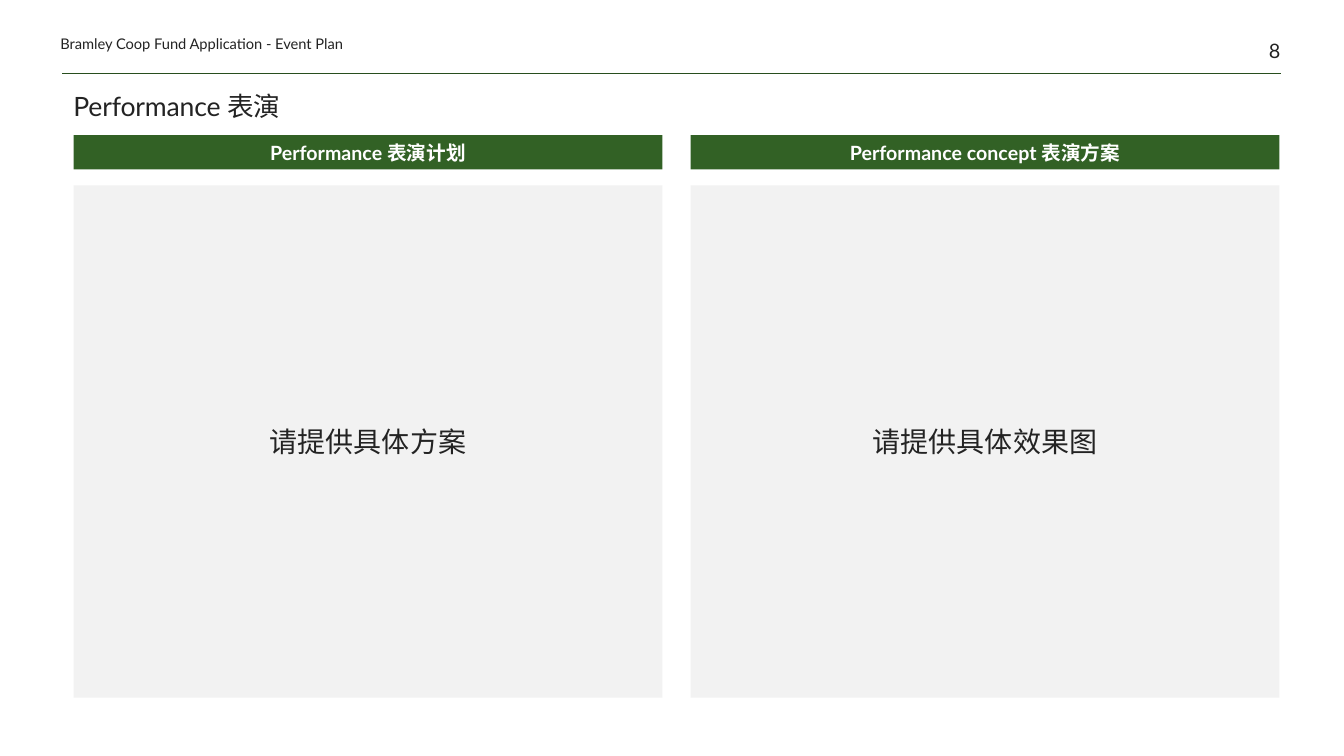
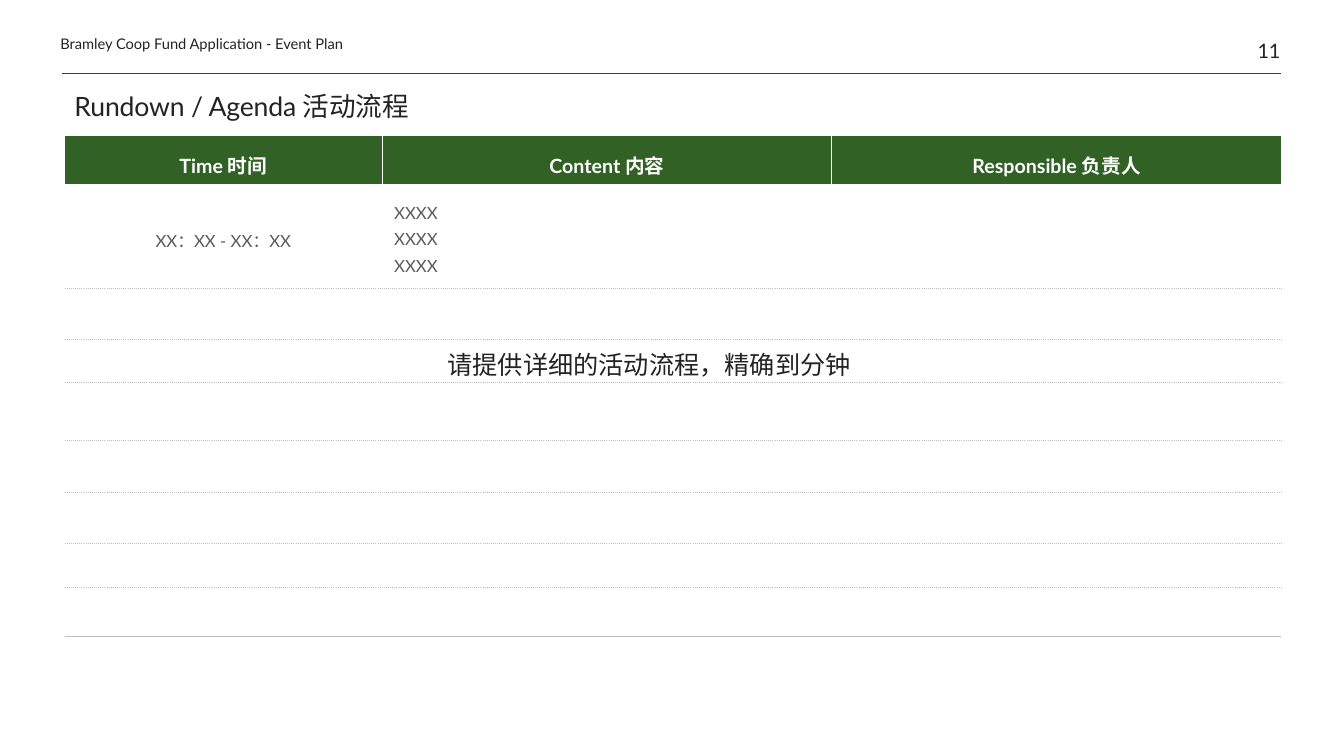
from lxml import etree
from pptx import Presentation
from pptx import util as u
from pptx.dml.color import RGBColor
from pptx.enum import shapes, text
from pptx.oxml import ns

INK, GREEN, RULE, PANEL = "232323", "326125", "284E1E", "F2F2F2"
WHITE, GREY, DOTS, LAST = "FFFFFF", "5A5A5A", "BFBFBF", "BBBCBC"
FONT = "Lato"
HEADER = "Bramley Coop Fund Application - Event Plan"
NO_STYLE = "{2D5ABB26-0587-4C30-8999-92F81FD0307C}"
LEFT, CENTER, RIGHT = text.PP_ALIGN.LEFT, text.PP_ALIGN.CENTER, text.PP_ALIGN.RIGHT
MIDDLE, BOTTOM = text.MSO_ANCHOR.MIDDLE, text.MSO_ANCHOR.BOTTOM


def color(code):
    return RGBColor.from_string(code)


def inches(*lengths):
    return [u.Inches(length) for length in lengths]


class Deck:
    """Event plan slides with one shared header, title and colour style."""

    def __init__(self):
        self.prs = Presentation()
        self.prs.slide_width, self.prs.slide_height = inches(13.33, 7.5)
        self.slide = None

    def add_slide(self, title, number, title_left):
        self.slide = self.prs.slides.add_slide(self.prs.slide_layouts[6])
        self.rule(0.62, 12.71, 0.73)
        heading = self.label(title, (title_left, 0.74, 12.08, 0.52), 19, inset=(0.1, 0.05))
        heading.line_spacing = 0.85
        heading.runs[0].font._element.set("spc", "-10")
        self.label(number, (11.87, 0, 0.83, 0.62), 14.2, RIGHT)
        self.label(HEADER, (0.6, 0.29, 4.17, 0.23), 10.5)

    def set_text(self, frame, content, size, tint=INK, align=LEFT, bold=False, spacing=None):
        frame.text = content
        for paragraph in frame.paragraphs:
            paragraph.alignment = align
            paragraph.line_spacing = spacing
            font = paragraph.font
            font.name, font.size, font.bold = FONT, u.Pt(size), bold
            font.color.rgb = color(tint)

    def rule(self, start, end, top):
        line = self.slide.shapes.add_connector(
            shapes.MSO_CONNECTOR.STRAIGHT, *inches(start, top, end, top))
        line.line.color.rgb = color(RULE)
        line.line.width = u.Pt(0.5)
        etree.SubElement(line._element.spPr, ns.qn("a:effectLst"))

    def label(self, content, box, size, align=LEFT, inset=(0, 0), anchor=BOTTOM, wrap=True):
        frame = self.slide.shapes.add_textbox(*inches(*box)).text_frame
        frame.word_wrap = wrap
        frame.vertical_anchor = anchor
        frame.margin_left = frame.margin_right = u.Inches(inset[0])
        frame.margin_top = frame.margin_bottom = u.Inches(inset[1])
        self.set_text(frame, content, size, align=align)
        return frame.paragraphs[0]

    def block(self, content, box, fill, size, tint=INK, bold=False):
        block = self.slide.shapes.add_shape(shapes.MSO_SHAPE.RECTANGLE, *inches(*box))
        block.shadow.inherit = False
        block.fill.solid()
        block.fill.fore_color.rgb = color(fill)
        block.line.fill.background()
        block.text_frame.vertical_anchor = MIDDLE
        self.set_text(block.text_frame, content, size, tint, CENTER, bold)

    def border(self, cell, side, tint, width, dash="solid"):
        line = etree.SubElement(cell._tc.get_or_add_tcPr(), ns.qn(f"a:ln{side}"),
                                w=str(u.Pt(width)))
        fill = etree.SubElement(line, ns.qn("a:solidFill"))
        etree.SubElement(fill, ns.qn("a:srgbClr"), val=tint)
        etree.SubElement(line, ns.qn("a:prstDash"), val=dash)

    def agenda(self, left, top, widths, heights, headings, entries):
        frame = self.slide.shapes.add_table(
            len(heights), len(widths), *inches(left, top, sum(widths), sum(heights)))
        table = frame.table
        table._tbl.tblPr.find(ns.qn("a:tableStyleId")).text = NO_STYLE
        table.horz_banding = False
        for column, width in zip(table.columns, widths):
            column.width = u.Inches(width)
        for row, height in zip(table.rows, heights):
            row.height = u.Inches(height)
        last = len(heights) - 1
        for r, row in enumerate(table.rows):
            for c, cell in enumerate(row.cells):
                cell.vertical_anchor = MIDDLE
                cell.margin_left = cell.margin_right = u.Inches(0.12)
                cell.margin_top = cell.margin_bottom = u.Inches(0.12 if r == 1 else 0.06)
                if r == 0:
                    if c < 2:
                        self.border(cell, "RL"[c], WHITE, 1)
                    cell.fill.solid()
                    cell.fill.fore_color.rgb = color(GREEN)
                    self.set_text(cell.text_frame, headings[c], 14, WHITE, CENTER, True, 1.3)
                    continue
                if r > 1:
                    self.border(cell, "T", DOTS, 0.25, "sysDot")
                if r == last:
                    self.border(cell, "B", LAST, 0.5)
                else:
                    self.border(cell, "B", DOTS, 0.25, "sysDot")
                cell.fill.background()
                entry = entries[c] if r == 1 else ""
                self.set_text(cell.text_frame, entry, 12, GREY, LEFT if c else CENTER,
                              spacing=1.3 if entry else None)


def main():
    deck = Deck()

    deck.add_slide("Performance 表演", "8", 0.63)
    columns = [("Performance 表演计划", "请提供具体方案"),
               ("Performance concept 表演方案", "请提供具体效果图")]
    width, gap = 5.84, 0.28
    for i, (heading, request) in enumerate(columns):
        left = 0.73 + i * (width + gap)
        deck.block(heading, (left, 1.34, width, 0.34), GREEN, 14, WHITE, True)
        deck.block(request, (left, 1.84, width, 5.08), PANEL, 20)

    deck.add_slide("Rundown / Agenda 活动流程", "11", 0.64)
    deck.agenda(0.64, 1.35, [3.15, 4.46, 4.46],
                [0.48, 1.03, 0.5, 0.43, 0.58, 0.51, 0.51, 0.44, 0.48],
                ["Time 时间", "Content 内容", "Responsible 负责人"],
                ["XX：XX - XX：XX", "XXXX\nXXXX\nXXXX", ""])
    deck.label("请提供详细的活动流程，精确到分钟", (4.34, 3.42, 4.24, 0.4), 18,
               inset=(0.1, 0.05), anchor=text.MSO_ANCHOR.TOP, wrap=False)

    deck.prs.save("out.pptx")


if __name__ == "__main__":
    main()
